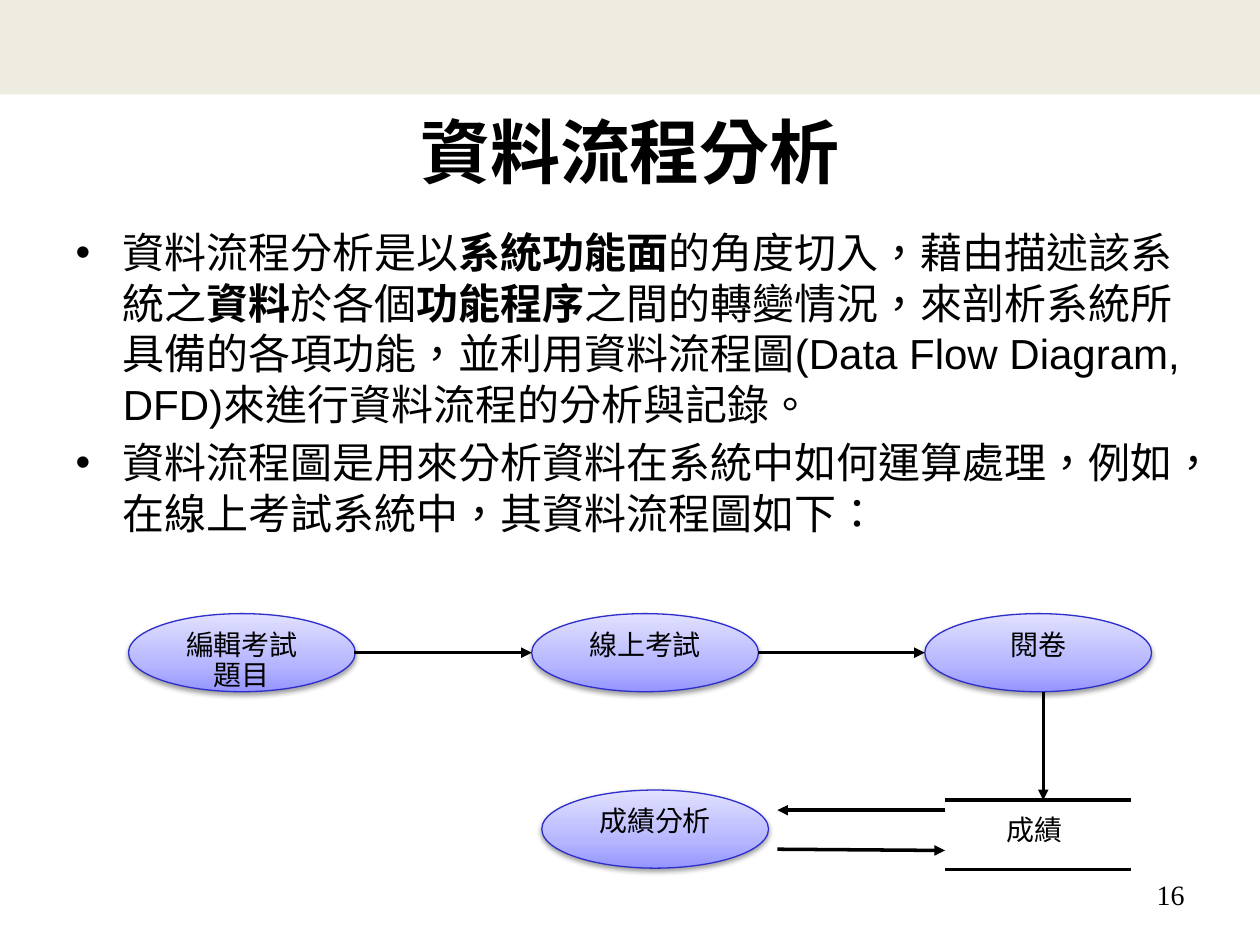
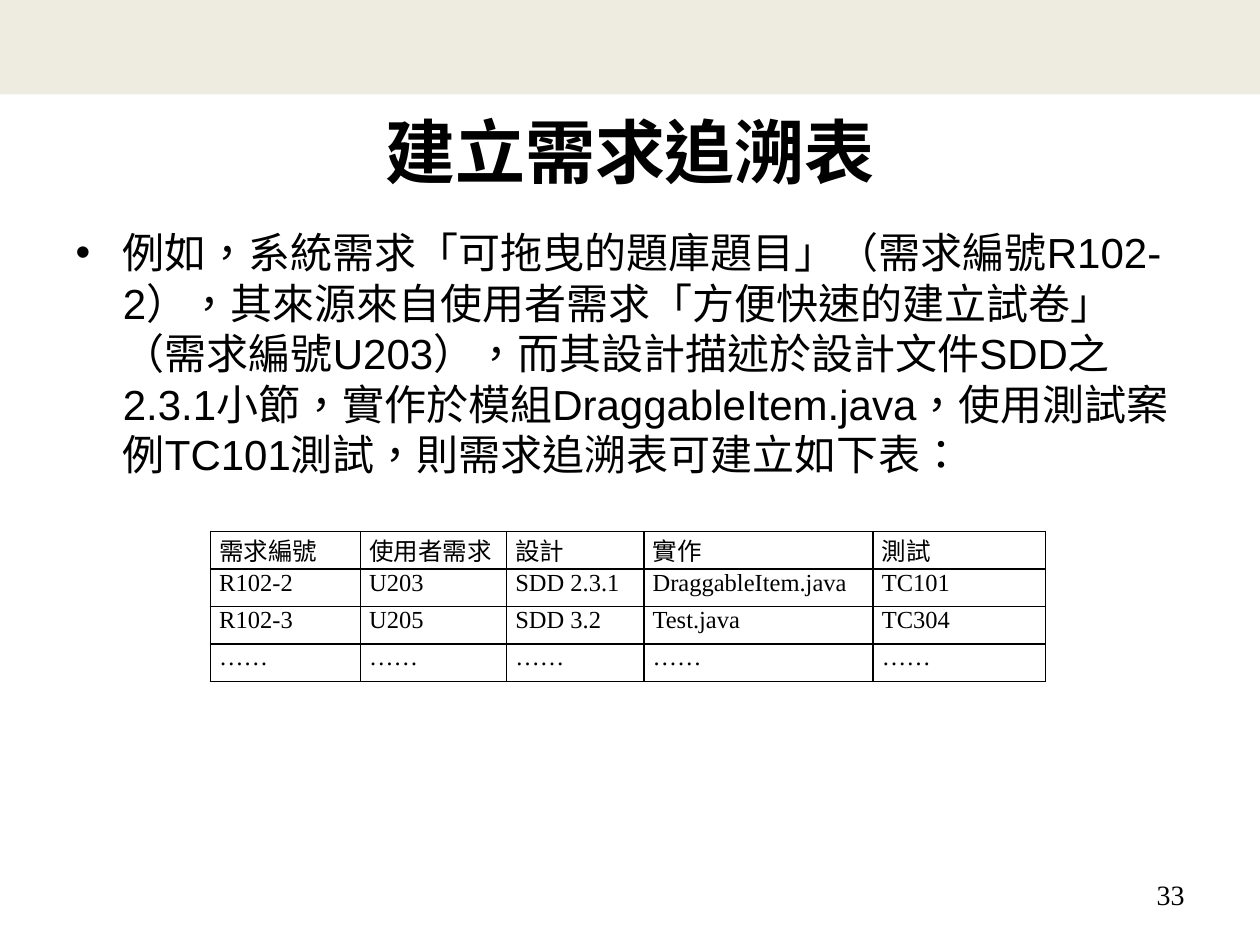
from pptx import Presentation
from pptx.dml.color import RGBColor
from pptx.enum.shapes import MSO_CONNECTOR, MSO_SHAPE
from pptx.enum.text import MSO_AUTO_SIZE, PP_ALIGN
from pptx.oxml import parse_xml
from pptx.oxml.ns import nsdecls, qn
from pptx.util import Inches, Pt
from lxml import etree

LINE = MSO_CONNECTOR.STRAIGHT
OVAL, RECT = MSO_SHAPE.OVAL, MSO_SHAPE.RECTANGLE
CENTER, RIGHT, JUSTIFY = PP_ALIGN.CENTER, PP_ALIGN.RIGHT, PP_ALIGN.JUSTIFY
NO_FIT = MSO_AUTO_SIZE.NONE
BLACK, BAND, OVAL_LINE = "000000", "EEECE1", "2E2ECB"
SANS, SERIF, CJK = "Arial", "Times New Roman", "Noto Sans CJK SC"
NS = nsdecls("a")


def color(value):
    return RGBColor.from_string(value)


def add_run(p, text, size, font, bold=None):
    r = p.add_run()
    r.text = text
    r.font.size, r.font.name, r.font.bold = Pt(size), font, bold
    r.font.color.rgb = color(BLACK)
    rPr = r.font._element
    rPr.set("lang", "zh-TW")
    ea = etree.Element(qn("a:ea"), typeface=CJK)
    rPr.find(qn("a:latin")).addnext(ea)


prs = Presentation()
prs.slide_width, prs.slide_height = Inches(10), Inches(7.5)
layout = prs.slide_layouts[1]

pages = [
    ("資料流程分析", "16", [
        [("資料流程分析是以", False), ("系統功能面", True),
         ("的角度切入，藉由描述該系統之", False), ("資料", True),
         ("於各個", False), ("功能程序", True),
         ("之間的轉變情況，來剖析系統所具備的各項功能，並利用資料流程圖"
          "(Data Flow Diagram, DFD)來進行資料流程的分析與記錄。", False)],
        [("資料流程圖是用來分析資料在系統中如何運算處理，例如，"
          "在線上考試系統中，其資料流程圖如下：", False)],
    ]),
    ("建立需求追溯表", "33", [
        [("例如，系統需求「可拖曳的題庫題目」（需求編號R102-2），"
          "其來源來自使用者需求「方便快速的建立試卷」（需求編號U203），"
          "而其設計描述於設計文件SDD之2.3.1小節，實作於模組DraggableItem.java，"
          "使用測試案例TC101測試，則需求追溯表可建立如下表：", False)],
    ]),
]

slides = []
for title, number, bullets in pages:
    s = prs.slides.add_slide(layout)
    slides.append(s)
    sp = s.shapes.title
    sp.left, sp.top, sp.width, sp.height = [Inches(v) for v in (0.5, 0.76, 9, 0.87)]
    sp.text_frame.auto_size = NO_FIT
    p = sp.text_frame.paragraphs[0]
    p.alignment = CENTER
    add_run(p, title, 40, SANS, True)

    sp = s.placeholders[1]
    sp.left, sp.top, sp.width, sp.height = [Inches(v) for v in (0.5, 1.75, 9, 4.95)]
    tf = sp.text_frame
    tf.auto_size = NO_FIT
    for i, runs in enumerate(bullets):
        p = tf.add_paragraph() if i else tf.paragraphs[0]
        for text, bold in runs:
            add_run(p, text, 24, SANS, bold)

    sp = s.shapes.add_textbox(Inches(7.17), Inches(6.95), Inches(2.33), Inches(0.4))
    sp.text_frame.word_wrap = True
    p = sp.text_frame.paragraphs[0]
    p.alignment, p.line_spacing = RIGHT, 0.89
    add_run(p, number, 16, SERIF)

flow, trace = slides

band = flow.shapes.add_shape(RECT, 0, 0, prs.slide_width, Inches(0.75))
band.shadow.inherit = False
band.fill.solid()
band.fill.fore_color.rgb = color(BAND)
band.line.fill.background()
layout.shapes._spTree.insert(2, band._element)

stops = "".join(f'<a:gs pos="{pos}000"><a:srgbClr val="{c}"/></a:gs>'
                for pos, c in ((0, "9595FF"), (35, "B6B6FF"), (100, "E1E1FF")))
gradient = (f'<a:gradFill {NS} rotWithShape="1"><a:gsLst>{stops}</a:gsLst>'
            '<a:lin ang="16200000" scaled="0"/></a:gradFill>')
shadow = (f'<a:outerShdw {NS} blurRad="{Pt(3.1)}" dist="{Pt(1.6)}" dir="5400000" '
          f'rotWithShape="0"><a:srgbClr val="{BLACK}"><a:alpha val="38000"/>'
          '</a:srgbClr></a:outerShdw>')

processes = [("編輯考試題目", 1.02, 4.87), ("線上考試", 4.22, 4.87),
             ("閱卷", 7.34, 4.87), ("成績分析", 4.3, 6.27)]
for text, x, y in processes:
    sp = flow.shapes.add_shape(OVAL, Inches(x), Inches(y), Inches(1.8), Inches(0.62))
    sp.line.color.rgb = color(OVAL_LINE)
    sp.line.width = Pt(0.75)
    sp.shadow.inherit = False
    spPr = sp._element.spPr
    spPr.find(qn("a:prstGeom")).addnext(parse_xml(gradient))
    spPr.find(qn("a:effectLst")).append(parse_xml(shadow))
    tf = sp.text_frame
    tf.word_wrap = True
    tf._txBody.bodyPr.set("anchor", "t")
    p = tf.paragraphs[0]
    p.alignment, p.line_spacing = CENTER, 0.89
    add_run(p, text, 16, CJK)

lines = [(2.81, 5.18, 4.22, 5.18, "tailEnd"), (6.02, 5.18, 7.34, 5.18, "tailEnd"),
         (7.5, 6.35, 8.98, 6.35, None), (7.5, 6.9, 8.98, 6.9, None),
         (8.28, 5.49, 8.28, 6.35, "tailEnd"), (6.17, 6.74, 7.5, 6.75, "tailEnd"),
         (6.17, 6.43, 7.5, 6.43, "headEnd")]
for x1, y1, x2, y2, arrow in lines:
    cn = flow.shapes.add_connector(LINE, Inches(x1), Inches(y1), Inches(x2), Inches(y2))
    cn.line.color.rgb = color(BLACK)
    cn.line.width = Pt(2)
    if arrow:
        etree.SubElement(cn.line._ln, qn(f"a:{arrow}"), type="triangle")
    etree.SubElement(cn._element.spPr, qn("a:effectLst"))

sp = flow.shapes.add_textbox(Inches(7.89), Inches(6.43), Inches(1.02), Inches(0.34))
sp.text_frame.word_wrap = True
p = sp.text_frame.paragraphs[0]
p.line_spacing = 0.89
add_run(p, "成績", 16, CJK)

rows = [("需求編號", "使用者需求", "設計", "實作", "測試"),
        ("R102-2", "U203", "SDD 2.3.1", "DraggableItem.java", "TC101"),
        ("R102-3", "U205", "SDD 3.2", "Test.java", "TC304"),
        ("……",) * 5]
widths = [1.19, 1.16, 1.09, 1.82, 1.37]
table = trace.shapes.add_table(len(rows), len(widths), Inches(1.67), Inches(4.22),
                               Inches(sum(widths)), Inches(1.19)).table
table.first_row = table.horz_banding = False
for col, width in zip(table.columns, widths):
    col.width = Inches(width)
for i, row in enumerate(rows):
    for j, text in enumerate(row):
        cell = table.cell(i, j)
        cell.margin_left = cell.margin_right = Inches(0.07)
        cell.margin_top = cell.margin_bottom = 0
        cell.fill.background()
        p = cell.text_frame.paragraphs[0]
        p.alignment = JUSTIFY
        add_run(p, text, 14, SERIF)
        for k, side in enumerate(("lnL", "lnR", "lnT", "lnB")):
            border = parse_xml(f'<a:{side} {NS} w="{Pt(1)}"><a:solidFill>'
                               f'<a:srgbClr val="{BLACK}"/></a:solidFill></a:{side}>')
            cell._tc.get_or_add_tcPr().insert(k, border)

prs.save("out.pptx")
